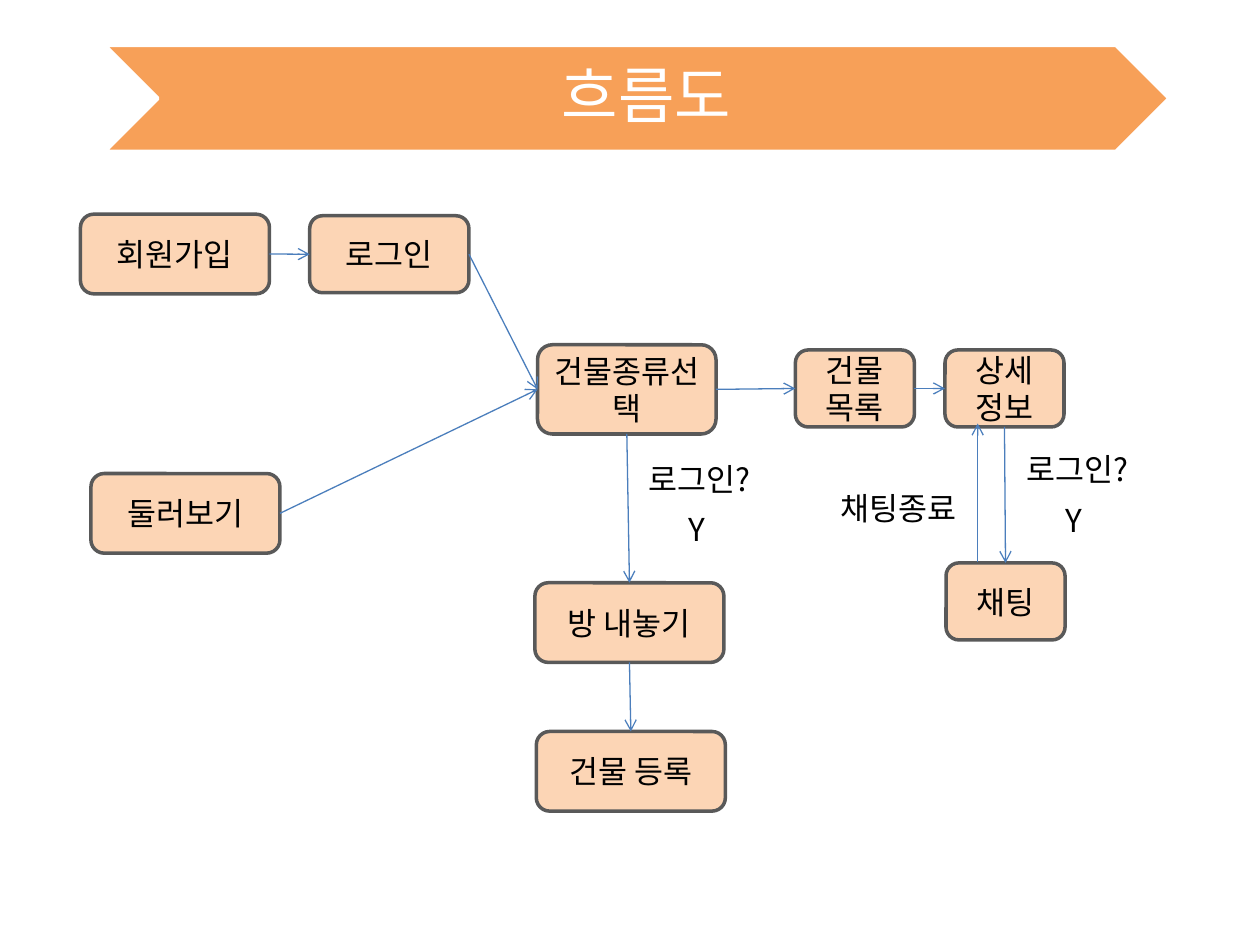
from pptx import Presentation
from pptx.dml.color import RGBColor
from pptx.enum.shapes import MSO_CONNECTOR, MSO_SHAPE
from pptx.enum.text import MSO_ANCHOR, MSO_AUTO_SIZE, PP_ALIGN
from pptx.oxml.ns import qn
from pptx.util import Pt
from lxml.etree import SubElement

FONT = "Noto Sans CJK KR"
TOP, LEFT, BOTTOM, RIGHT = range(4)
hue = RGBColor.from_string


def write(shape, text, size, color, align):
    para = shape.text_frame.paragraphs[0]
    para.alignment = align
    run = para.add_run()
    run.text = text
    run.font.size = Pt(size)
    run.font.name = FONT
    run.font.color.rgb = hue(color)
    SubElement(run.font._element, qn("a:ea"), typeface=FONT)
    return para


def arrow(x1, y1, x2, y2):
    line = shapes.add_connector(MSO_CONNECTOR.STRAIGHT, Pt(x1), Pt(y1), Pt(x2), Pt(y2))
    line.line.color.rgb = hue("4B7EBC")
    line.line.width = Pt(0.75)
    SubElement(line.line._get_or_add_ln(), qn("a:tailEnd"), type="arrow")
    SubElement(line._element.spPr, qn("a:effectLst"))
    return line


prs = Presentation()
prs.slide_width, prs.slide_height = Pt(720), Pt(540)
shapes = prs.slides.add_slide(prs.slide_layouts[6]).shapes

band = shapes.add_shape(MSO_SHAPE.CHEVRON, Pt(60), Pt(26), Pt(608), Pt(60.5))
band.shadow.inherit = False
band.fill.solid()
band.fill.fore_color.rgb = hue("F79646")
tint = band._element.spPr.find(qn("a:solidFill"))[0]
SubElement(tint, qn("a:alpha"), val="90000")
band.line.color.rgb = hue("FFFFFF")
band.line.width = Pt(2)

title = shapes.add_textbox(Pt(93.6), Pt(26), Pt(548), Pt(60.5))
frame = title.text_frame
frame.word_wrap = True
frame.vertical_anchor = MSO_ANCHOR.MIDDLE
frame.margin_left, frame.margin_right = Pt(3.6), Pt(0)
frame.margin_top = frame.margin_bottom = Pt(1.5)
write(title, "흐름도", 35, "FFFFFF", PP_ALIGN.CENTER).line_spacing = 0.9

steps = [
    ("로그인", 177, 123.3, 91, 44),
    ("회원가입", 46, 122.4, 108, 45.5),
    ("둘러보기", 52, 270.6, 108, 45.5),
    ("건물종류선택", 307.2, 197, 102, 51),
    ("건물 목록", 454.5, 200, 68, 44),
    ("상세 정보", 540, 200, 68, 44),
    ("채팅", 540.6, 321.7, 68, 44),
    ("방 내놓기", 305.7, 333, 108, 45.5),
    ("건물 등록", 306.5, 418, 108, 45.5),
]
boxes = {}
for text, x, y, w, h in steps:
    box = shapes.add_shape(MSO_SHAPE.ROUNDED_RECTANGLE, Pt(x), Pt(y), Pt(w), Pt(h))
    box.shadow.inherit = False
    box.fill.solid()
    box.fill.fore_color.rgb = hue("FCD5B5")
    box.line.color.rgb = hue("595959")
    box.line.width = Pt(2)
    box.text_frame.word_wrap = True
    box.text_frame.vertical_anchor = MSO_ANCHOR.MIDDLE
    write(box, text, 18, "000000", PP_ALIGN.CENTER)
    boxes[text] = box

links = [
    ("회원가입", RIGHT, "로그인", LEFT),
    ("건물종류선택", BOTTOM, "방 내놓기", TOP),
    ("방 내놓기", BOTTOM, "건물 등록", TOP),
    ("건물 목록", RIGHT, "상세 정보", LEFT),
    ("상세 정보", BOTTOM, "채팅", TOP),
    ("건물종류선택", RIGHT, "건물 목록", LEFT),
    ("둘러보기", RIGHT, "건물종류선택", LEFT),
    ("로그인", RIGHT, "건물종류선택", LEFT),
]
for start, out, end, into in links:
    link = arrow(0, 0, 0, 0)
    link.begin_connect(boxes[start], out)
    link.end_connect(boxes[end], into)
arrow(558.7, 321, 558.7, 242)

notes = [
    ("로그인?", 579.6, 253.5, 77, True),
    ("Y", 602, 282.5, 24.5, False),
    ("로그인?", 363.8, 259.5, 77, True),
    ("Y", 386.5, 288, 24.5, False),
    ("채팅종료", 473, 275.8, 87, False),
]
for text, x, y, w, wrap in notes:
    note = shapes.add_textbox(Pt(x), Pt(y), Pt(w), Pt(29))
    note.text_frame.word_wrap = wrap
    note.text_frame.auto_size = MSO_AUTO_SIZE.SHAPE_TO_FIT_TEXT
    write(note, text, 18, "000000", PP_ALIGN.LEFT)

prs.save("out.pptx")
